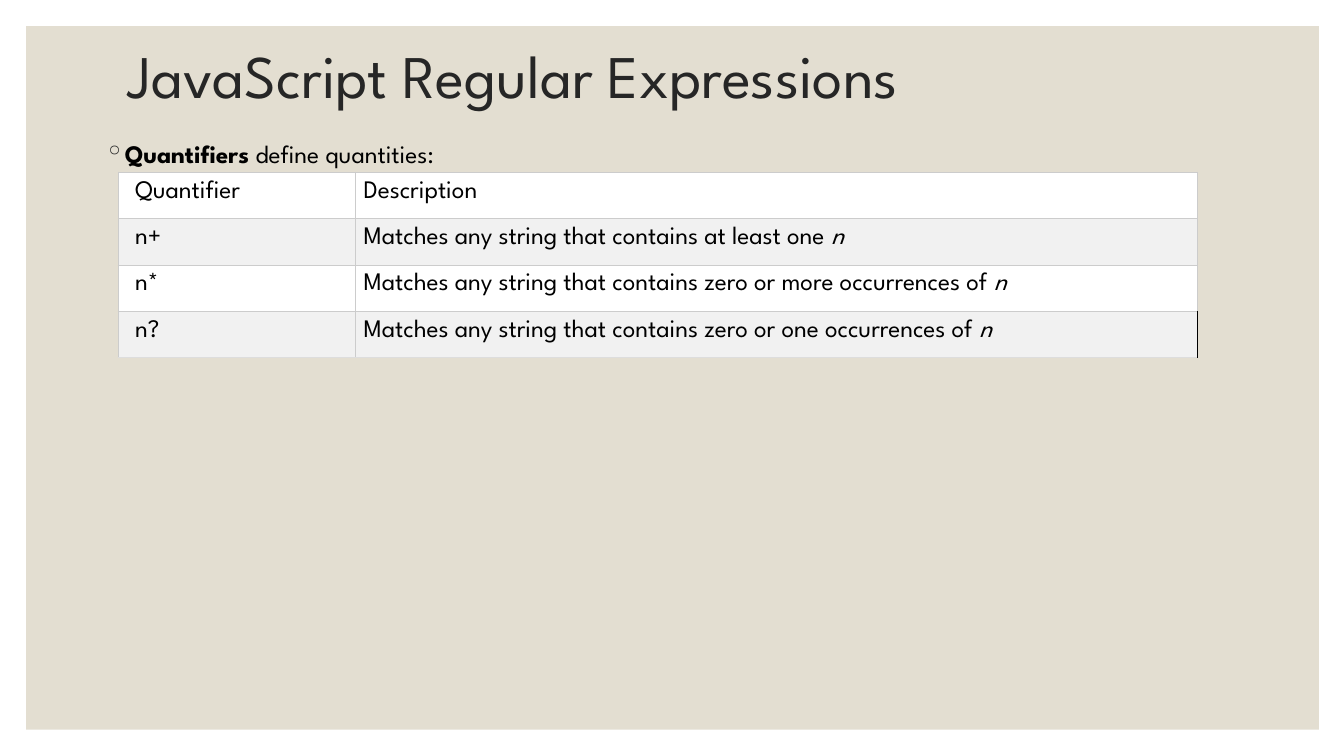
from lxml import etree
from pptx import Presentation
from pptx.dml.color import RGBColor
from pptx.enum.shapes import MSO_SHAPE
from pptx.enum.text import MSO_ANCHOR
from pptx.oxml.ns import qn
from pptx.util import Inches, Pt

RECTANGLE = MSO_SHAPE.RECTANGLE
MIDDLE = MSO_ANCHOR.MIDDLE
FONT = "League Spartan"
SAND = RGBColor(0xE3, 0xDE, 0xD1)
CHARCOAL = RGBColor(0x26, 0x26, 0x26)
BLACK = RGBColor(0, 0, 0)
WHITE = RGBColor(0xFF, 0xFF, 0xFF)
BAND = RGBColor(0xF1, 0xF1, 0xF1)
GRID = RGBColor(0xCC, 0xCC, 0xCC)
BOTTOM_LINE = RGBColor(0xDD, 0xDD, 0xDD)

MATCHES = "Matches any string that contains "
QUANTIFIERS = [
    ("Quantifier", "Description", ""),
    ("n+", MATCHES + "at least one\u00a0", "n"),
    ("n*", MATCHES + "zero or more occurrences of\u00a0", "n"),
    ("n?", MATCHES + "zero or one occurrences of\u00a0", "n"),
]


def add_span(para, text, size=18, color=BLACK, bold=False, italic=False):
    """Append one formatted run to a paragraph."""
    span = para.add_run()
    span.text = text
    span.font.name = FONT
    span.font.size = Pt(size)
    span.font.color.rgb = color
    span.font.bold = bold
    span.font.italic = italic


def add_text_box(page, left, top, width, height):
    """Add a wrapping text box and return its text frame."""
    box = page.shapes.add_textbox(Inches(left), Inches(top), Inches(width), Inches(height))
    box.text_frame.word_wrap = True
    return box.text_frame


def add_panel(page, left, top, width, height):
    """Draw the sand panel behind the content."""
    panel = page.shapes.add_shape(
        RECTANGLE, Inches(left), Inches(top), Inches(width), Inches(height))
    panel.shadow.inherit = False
    panel.fill.solid()
    panel.fill.fore_color.rgb = SAND
    panel.line.fill.background()


def add_title(page, left, top, width, height):
    """Place the slide title, centred vertically in its box."""
    frame = add_text_box(page, left, top, width, height)
    frame.vertical_anchor = MIDDLE
    para = frame.paragraphs[0]
    para.line_spacing = 0.9
    add_span(para, "JavaScript\u00a0Regular Expressions", 43.2, CHARCOAL)


def add_intro(page, left, top, width, height):
    """Place the bulleted sentence above the table."""
    para = add_text_box(page, left, top, width, height).paragraphs[0]
    para.space_before = Pt(9)
    properties = para._p.get_or_add_pPr()
    properties.set("marL", str(Inches(0.2)))
    properties.set("indent", str(-Inches(0.2)))
    bullet_color = etree.SubElement(properties, qn("a:buClr"))
    etree.SubElement(bullet_color, qn("a:srgbClr"), val=str(CHARCOAL))
    etree.SubElement(properties, qn("a:buChar"), char="\u25e6")
    add_span(para, "Quantifiers", bold=True)
    add_span(para, "\u00a0define quantities:")


def set_border(cell, side, color, points):
    """Draw one side of a cell; sides are set in the order L, R, T, B."""
    properties = cell._tc.get_or_add_tcPr()
    line = etree.Element(qn("a:ln" + side), w=str(Pt(points)))
    fill = etree.SubElement(line, qn("a:solidFill"))
    etree.SubElement(fill, qn("a:srgbClr"), val=str(color))
    properties.insert("LRTB".index(side), line)


def add_quantifier_table(page, left, top, width, height):
    """Build the table of quantifiers with banded rows."""
    row_count = len(QUANTIFIERS)
    table = page.shapes.add_table(
        row_count, 2, Inches(left), Inches(top), Inches(width), Inches(height)).table
    table.columns[0].width = Inches(0.22 * width)
    table.columns[1].width = Inches(0.78 * width)
    for row, (symbol, description, variable) in enumerate(QUANTIFIERS):
        last = row == row_count - 1
        for column, text in enumerate((symbol, description)):
            cell = table.cell(row, column)
            cell.margin_left = Inches(0.08 if column else 0.17)
            cell.margin_right = cell.margin_top = cell.margin_bottom = Inches(0.08)
            cell.fill.solid()
            cell.fill.fore_color.rgb = BAND if row % 2 else WHITE
            para = cell.text_frame.paragraphs[0]
            add_span(para, text)
            if column and variable:
                add_span(para, variable, italic=True)
            set_border(cell, "L", GRID, 0.75)
            if last and column:
                set_border(cell, "R", BLACK, 1)
            else:
                set_border(cell, "R", GRID, 0.75)
            set_border(cell, "T", GRID, 0.75)
            set_border(cell, "B", BOTTOM_LINE if last else GRID, 0.75)


def build_slide(deck):
    """Add the quantifier slide to the deck."""
    page = deck.slides.add_slide(deck.slide_layouts[6])
    page.background.fill.solid()
    page.background.fill.fore_color.rgb = WHITE
    add_panel(page, 0.26, 0.26, 12.82, 6.98)
    add_title(page, 1.17, 0.53, 11, 0.5)
    add_intro(page, 0.94, 1.32, 11.89, 5.67)
    add_quantifier_table(page, 1.17, 1.71, 10.71, 1.59)


deck = Presentation()
deck.slide_width = Inches(13.33)
deck.slide_height = Inches(7.5)
build_slide(deck)
deck.save("out.pptx")
